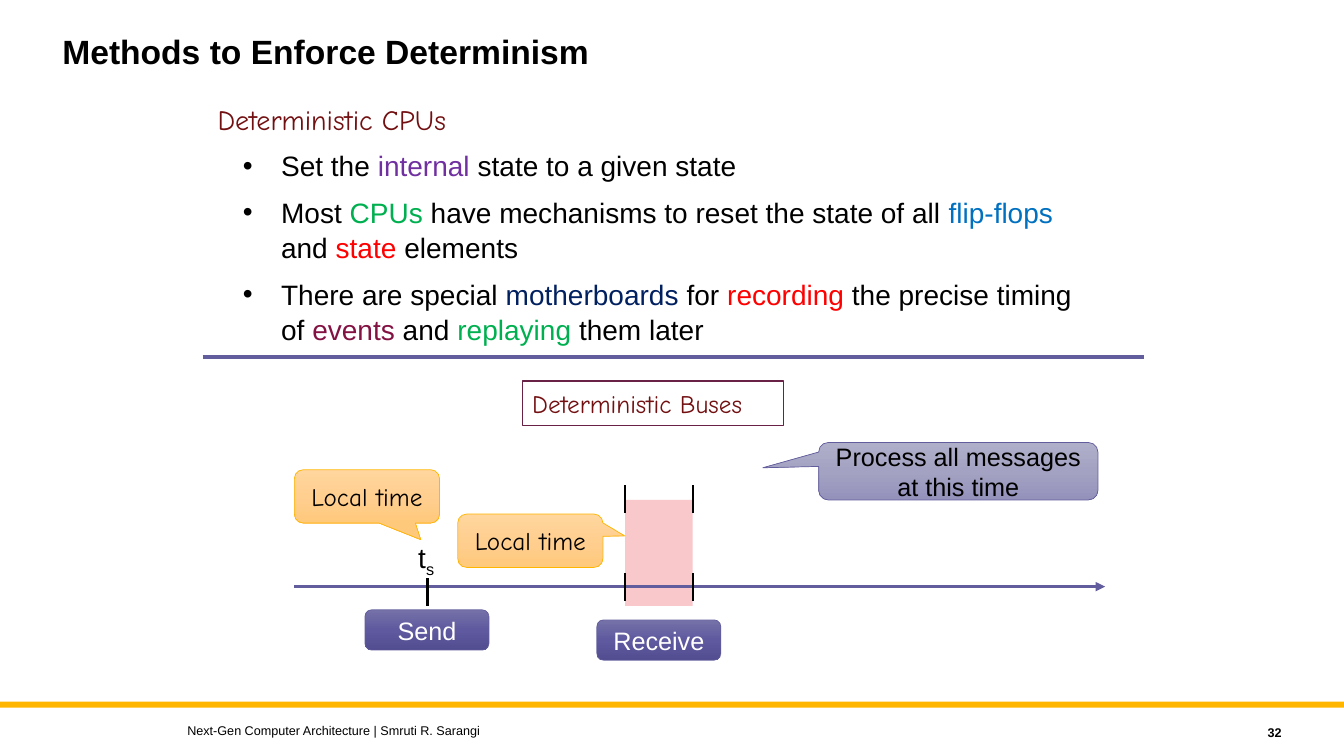
from copy import deepcopy
from pptx import Presentation
from pptx.dml.color import RGBColor
from pptx.enum.shapes import MSO_CONNECTOR, MSO_SHAPE
from pptx.enum.text import MSO_ANCHOR, PP_ALIGN
from pptx.oxml.ns import qn
from pptx.util import Inches, Pt
from lxml.etree import SubElement

COLORS = {
    "black": "000000", "white": "FFFFFF", "gold": "FFB600", "indigo": "625D9C",
    "maroon": "720F11", "plum": "692146", "pink": "E21A23", "purple": "7030A0",
    "green": "00B050", "blue": "0070C0", "red": "FF0000", "navy": "002060",
    "wine": "831242",
}
GRADIENTS = {
    "event": ("7571A8", "5F5A9F", "524D90"),
    "clock": ("FFD69E", "FFCF90", "FFC97C"),
    "process": ("B0AFCA", "A4A2C2", "9492BB"),
}


def style_text(paragraph, size, color="black", font="Arial", bold=False):
    paragraph.font.size = Pt(size)
    paragraph.font.name = font
    paragraph.font.bold = bold
    paragraph.font.color.rgb = RGBColor.from_string(COLORS[color])


def add_box(kind, box, fill, line=None, width=0.5):
    shape = slide.shapes.add_shape(kind, *map(Inches, box))
    shape.shadow.inherit = False
    if fill in GRADIENTS:
        shape.fill.gradient()
        shape.fill.gradient_angle = 270
        stops = shape.fill._fill._gradFill.gsLst
        stops.insert(1, deepcopy(stops[0]))
        for stop, position, color in zip(shape.fill.gradient_stops, (0, 0.5, 1), GRADIENTS[fill]):
            stop.position = position
            stop.color.rgb = RGBColor.from_string(color)
    else:
        shape.fill.solid()
        shape.fill.fore_color.rgb = RGBColor.from_string(COLORS[fill])
    if line:
        shape.line.color.rgb = RGBColor.from_string(COLORS[line])
        shape.line.width = Pt(width)
    else:
        shape.line.fill.background()
    shape.text_frame.vertical_anchor = MSO_ANCHOR.MIDDLE
    return shape


prs = Presentation()
prs.slide_width, prs.slide_height = Inches(13.33), Inches(7.5)
slide = prs.slides.add_slide(prs.slide_layouts[6])

add_box(MSO_SHAPE.RECTANGLE, (0, 6.96, 13.33, 0.06), "gold")
window = add_box(MSO_SHAPE.RECTANGLE, (6.2, 4.96, 0.67, 1.05), "pink")
window_color = window.fill._xPr.find(qn("a:solidFill"))[0]
SubElement(window_color, qn("a:alpha"), val="24000")

labels = [
    ("Methods to Enforce Determinism", (0.52, 0.3, 10, 0.9), 24, True, PP_ALIGN.LEFT, MSO_ANCHOR.TOP),
    ("Next-Gen Computer Architecture | Smruti R. Sarangi", (1.76, 7.12, 8, 0.25), 9, False, PP_ALIGN.LEFT, MSO_ANCHOR.MIDDLE),
    ("32", (11.41, 7.14, 1.4, 0.25), 9, True, PP_ALIGN.RIGHT, MSO_ANCHOR.MIDDLE),
]
for text, box, size, bold, align, anchor in labels:
    frame = slide.shapes.add_textbox(*map(Inches, box)).text_frame
    frame.word_wrap = True
    frame.vertical_anchor = anchor
    label = frame.paragraphs[0]
    label.text = text
    label.alignment = align
    label.line_spacing = 0.9 if size == 24 else 1.0
    style_text(label, size, bold=bold)

cpu_points = [
    [("Set the ", "black"), ("internal", "purple"), (" state to a given state", "black")],
    [("Most ", "black"), ("CPUs", "green"),
     (" have mechanisms to reset the state of all ", "black"), ("flip-flops", "blue"),
     (" and ", "black"), ("state", "red"), (" elements", "black")],
    [("There are special ", "black"), ("motherboards", "navy"), (" for ", "black"),
     ("recording", "red"), (" the precise timing of ", "black"), ("events", "wine"),
     (" and ", "black"), ("replaying", "green"), (" them later", "black")],
]
cpus = slide.shapes.add_textbox(Inches(2.06), Inches(0.95), Inches(8.84), Inches(2.51)).text_frame
cpus.word_wrap = True
cpu_heading = cpus.paragraphs[0]
cpu_heading.text = "Deterministic CPUs"
cpu_heading.line_spacing = 1.05
style_text(cpu_heading, 20, "maroon", "Comic Neue")
for parts in cpu_points:
    point = cpus.add_paragraph()
    point.level = 1
    point.space_before = Pt(8)
    point.line_spacing = 1.05
    properties = point._p.get_or_add_pPr()
    properties.set("marL", str(Inches(0.63)))
    properties.set("indent", str(Inches(-0.38)))
    SubElement(properties, qn("a:buFont"), typeface="Arial")
    SubElement(properties, qn("a:buChar"), char="•")
    style_text(point, 20)
    for text, color in parts:
        run = point.add_run()
        run.text = text
        run.font.color.rgb = RGBColor.from_string(COLORS[color])

strokes = [
    ((2.01, 3.54, 11.35, 3.54), "indigo", 3),
    ((2.92, 5.82, 10.96, 5.82), "indigo", 2.25),
    ((4.24, 6.01, 4.24, 5.73), "black", 1.5),
]
for x in (6.2, 6.87):
    for bottom in (5.96, 5.09):
        strokes.append(((x, bottom, x, bottom - 0.28), "black", 1.5))
for ends, color, width in strokes:
    stroke = slide.shapes.add_connector(MSO_CONNECTOR.STRAIGHT, *map(Inches, ends))
    stroke.line.color.rgb = RGBColor.from_string(COLORS[color])
    stroke.line.width = Pt(width)
    if width == 2.25:
        SubElement(stroke.line._get_or_add_ln(), qn("a:tailEnd"), type="triangle")
    SubElement(stroke._element.spPr, qn("a:effectLst"))

send_time = slide.shapes.add_textbox(Inches(4.05), Inches(5.31), Inches(0.37), Inches(0.44)).text_frame
send_time.word_wrap = False
symbol = send_time.paragraphs[0]
symbol.add_run().text = "t"
subscript = symbol.add_run()
subscript.text = "s"
subscript.font._element.set("baseline", "-25000")
style_text(symbol, 20)

ROUNDED, CALLOUT = MSO_SHAPE.ROUNDED_RECTANGLE, MSO_SHAPE.ROUNDED_RECTANGULAR_CALLOUT
timeline = [
    ("Send", ROUNDED, (3.62, 6.05, 1.23, 0.4), "event", "indigo", "white", "Arial", None),
    ("Receive", ROUNDED, (5.92, 6.15, 1.23, 0.4), "event", "indigo", "white", "Arial", None),
    ("Local time", CALLOUT, (2.92, 4.66, 1.44, 0.53), "clock", "gold", "black", "Comic Neue", (0.37, 0.81)),
    ("Local time", CALLOUT, (4.54, 5.1, 1.44, 0.53), "clock", "gold", "black", "Comic Neue", (0.65, -0.09)),
    ("Process all messages at this time", CALLOUT, (8.12, 4.39, 2.77, 0.57), "process", "indigo", "black", "Arial", (-0.7, -0.06)),
]
for text, kind, box, fill, line, color, font, pointer in timeline:
    event = add_box(kind, box, fill, line)
    if pointer:
        event.adjustments[0], event.adjustments[1] = pointer
    caption = event.text_frame.paragraphs[0]
    caption.text = text
    caption.alignment = PP_ALIGN.CENTER
    style_text(caption, 18, color, font)

buses = add_box(MSO_SHAPE.RECTANGLE, (5.18, 3.78, 2.59, 0.44), "white", "plum", 1)
bus_heading = buses.text_frame.paragraphs[0]
bus_heading.text = "Deterministic Buses"
bus_heading.alignment = PP_ALIGN.LEFT
style_text(bus_heading, 18, "maroon", "Comic Neue")

prs.save("out.pptx")
